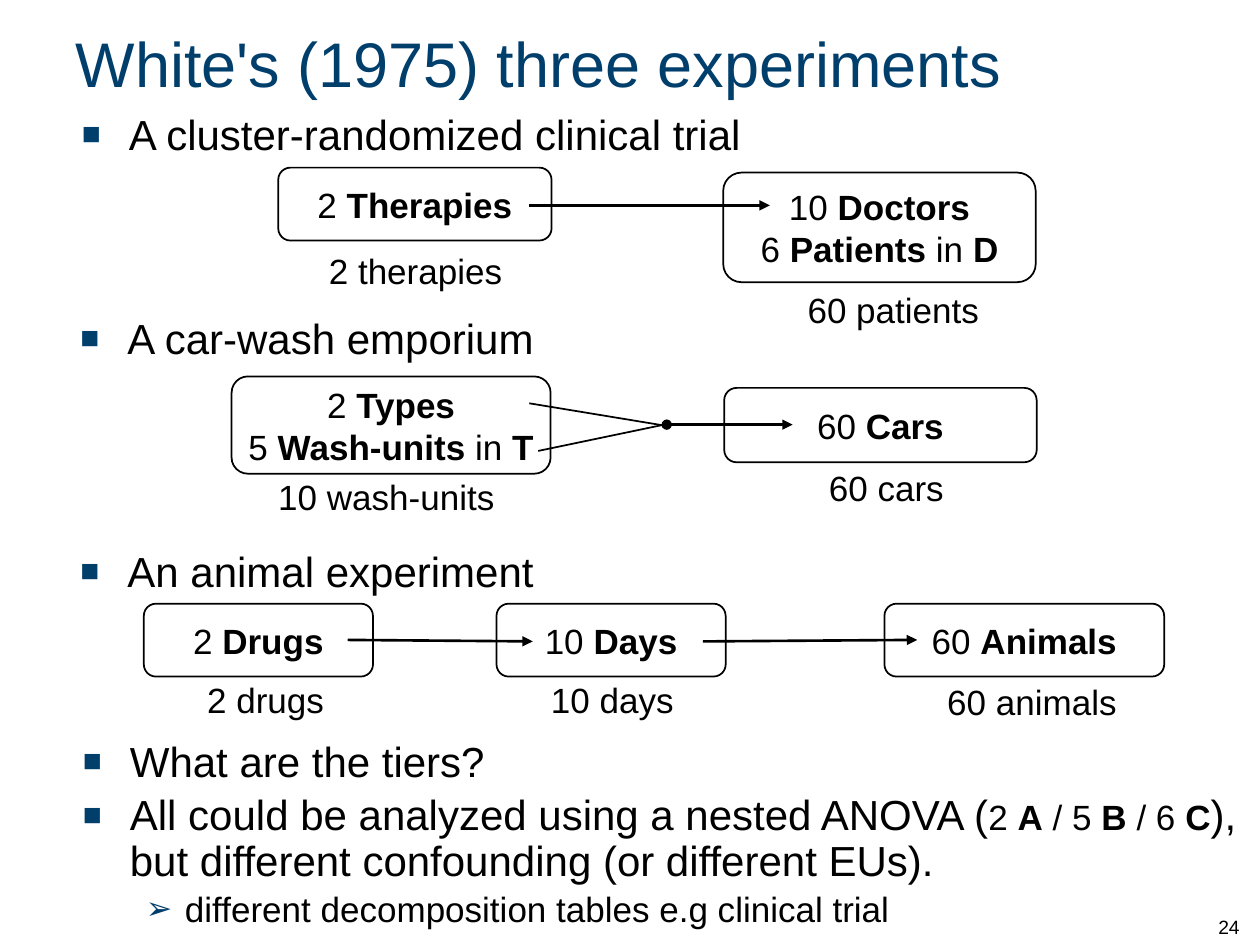
from lxml import etree
from pptx import Presentation
from pptx.dml.color import RGBColor
from pptx.enum.shapes import MSO_CONNECTOR, MSO_SHAPE
from pptx.enum.text import MSO_ANCHOR, PP_ALIGN
from pptx.oxml.ns import qn
from pptx.util import Cm, Pt

NAVY = RGBColor(0x00, 0x3E, 0x6C)
BLACK = RGBColor(0x00, 0x00, 0x00)
LEFT, CENTER = PP_ALIGN.LEFT, PP_ALIGN.CENTER
MIDDLE, BOTTOM = MSO_ANCHOR.MIDDLE, MSO_ANCHOR.BOTTOM
ROUND, STRAIGHT = MSO_SHAPE.ROUNDED_RECTANGLE, MSO_CONNECTOR.STRAIGHT
FONT = "Arial"


def write(para, text, size, align=LEFT):
    """Fill a paragraph; words between asterisks are bold."""
    para.alignment = align
    para.font.name = FONT
    para.font.size = Pt(size)
    para.font.color.rgb = BLACK
    for i, part in enumerate(text.split("*")):
        if part:
            run = para.add_run()
            run.text = part
            if i % 2:
                run.font.bold = True


def bullet(para, char, scale, left, hang):
    """Give a paragraph a navy bullet with a hanging indent."""
    props = para._p.get_or_add_pPr()
    props.set("marL", str(Cm(left)))
    props.set("indent", str(-Cm(hang)))
    color = etree.SubElement(props, qn("a:buClr"))
    etree.SubElement(color, qn("a:srgbClr")).set("val", str(NAVY))
    etree.SubElement(props, qn("a:buSzPct")).set("val", str(scale * 1000))
    etree.SubElement(props, qn("a:buFont")).set("typeface", FONT)
    etree.SubElement(props, qn("a:buChar")).set("char", char)


deck = Presentation()
deck.slide_width, deck.slide_height = Cm(25.4), Cm(19.05)
slide = deck.slides.add_slide(deck.slide_layouts[5])
shapes = slide.shapes

# Title
title = shapes.title
title.left, title.top, title.width, title.height = Cm(1.27), Cm(0.13), Cm(22.86), Cm(2.24)
title.text_frame.vertical_anchor = MIDDLE
head = title.text_frame.paragraphs[0]
write(head, "White's (1975) three experiments", 36)
head.font.color.rgb = NAVY

# Closing points
frame = shapes.add_textbox(Cm(1.42), Cm(14.81), Cm(23.98), Cm(4.42)).text_frame
frame.word_wrap = True
points = [
    ("What are the tiers?", 24, "■", 75, 0.95, 0.95),
    ("All could be analyzed using a nested ANOVA (", 24, "■", 75, 0.95, 0.95),
    ("different decomposition tables e.g clinical trial", 20, "➢", 90, 2.06, 0.79),
]
for i, (text, size, char, scale, left, hang) in enumerate(points):
    para = frame.add_paragraph() if i else frame.paragraphs[0]
    para.level = 1 if size == 20 else 0
    bullet(para, char, scale, left, hang)
    write(para, text, size)
    para.line_spacing = 0.9
    if i:
        para.space_before = Pt(size * 0.2)

# Nested formula in smaller type, then the end of its sentence
nested = frame.paragraphs[1]
for i, part in enumerate(["2 ", "A", " / 5 ", "B", " / 6 ", "C"]):
    run = nested.add_run()
    run.text = part
    run.font.size = Pt(20)
    run.font.bold = i % 2 == 1
nested.add_run().text = "), but different confounding (or different EUs)."

# Experiment headings
heads = [
    (1.4, 2.06, "A cluster-randomized clinical trial"),
    (1.37, 6.17, "A car-wash emporium"),
    (1.37, 10.87, "An animal experiment"),
]
for x, y, text in heads:
    frame = shapes.add_textbox(Cm(x), Cm(y), Cm(23.5), Cm(1.4)).text_frame
    frame.word_wrap = True
    bullet(frame.paragraphs[0], "■", 75, 0.95, 0.95)
    write(frame.paragraphs[0], text, 24)

# Arrows and joining lines: start, end, width, head, tail
lines = [
    (10.67, 4.14, 15.52, 4.14, 1.5, None, "triangle"),
    (13.44, 8.56, 15.98, 8.56, 1.5, "oval", "triangle"),
    (10.67, 8.13, 13.46, 8.59, 1, None, None),
    (10.85, 9.09, 13.39, 8.56, 1, None, None),
    (7.01, 12.9, 10.74, 12.93, 1.5, None, "triangle"),
    (14.17, 12.93, 18.49, 12.9, 1.5, None, "triangle"),
]
for x1, y1, x2, y2, width, start, end in lines:
    line = shapes.add_connector(STRAIGHT, Cm(x1), Cm(y1), Cm(x2), Cm(y2))
    line.line.color.rgb = BLACK
    line.line.width = Pt(width)
    stroke = line.line._get_or_add_ln()
    for tag, kind in (("a:headEnd", start), ("a:tailEnd", end)):
        if kind:
            etree.SubElement(stroke, qn(tag)).set("type", kind)
    etree.SubElement(line._element.spPr, qn("a:effectLst"))

# Factor panels
panels = [
    (5.61, 3.38, 5.51, 1.47, ["2 *Therapies*"]),
    (14.58, 3.48, 6.3, 2.21, ["10 *Doctors*", "6 *Patients* in *D*"]),
    (4.67, 7.59, 6.43, 1.96, ["2 *Types*", "5 *Wash-units* in *T*"]),
    (14.6, 7.82, 6.3, 1.5, ["60 *Cars*"]),
    (2.9, 12.17, 4.62, 1.47, ["2 *Drugs*"]),
    (10.01, 12.17, 4.62, 1.47, ["10 *Days*"]),
    (17.83, 12.17, 5.64, 1.47, ["60 *Animals*"]),
]
for x, y, width, height, texts in panels:
    panel = shapes.add_shape(ROUND, Cm(x), Cm(y), Cm(width), Cm(height))
    panel.shadow.inherit = False
    panel.fill.background()
    panel.line.color.rgb = BLACK
    panel.line.width = Pt(1)
    frame = panel.text_frame
    frame.word_wrap = False
    frame.vertical_anchor = MIDDLE
    for i, text in enumerate(texts):
        para = frame.add_paragraph() if i else frame.paragraphs[0]
        write(para, text, 20, CENTER)

# Unit counts below the panels
labels = [
    (6.38, 4.9, 4.01, "2 therapies", LEFT),
    (16.03, 5.69, 4.01, "60 patients", LEFT),
    (5.36, 9.47, 5.05, "10 wash-units", LEFT),
    (16.46, 9.27, 4.01, "60 cars", LEFT),
    (3.35, 13.56, 4.01, "2 drugs", CENTER),
    (10.34, 13.56, 4.01, "10 days", CENTER),
    (18.8, 13.59, 4.01, "60 animals", CENTER),
]
for x, y, width, text, align in labels:
    frame = shapes.add_textbox(Cm(x), Cm(y), Cm(width), Cm(1.09)).text_frame
    frame.word_wrap = True
    write(frame.paragraphs[0], text, 20, align)

# Slide number
frame = shapes.add_textbox(Cm(24.31), Cm(17.78), Cm(1.07), Cm(1.27)).text_frame
frame.word_wrap = True
frame.vertical_anchor = BOTTOM
write(frame.paragraphs[0], "24", 11)

deck.save("out.pptx")
